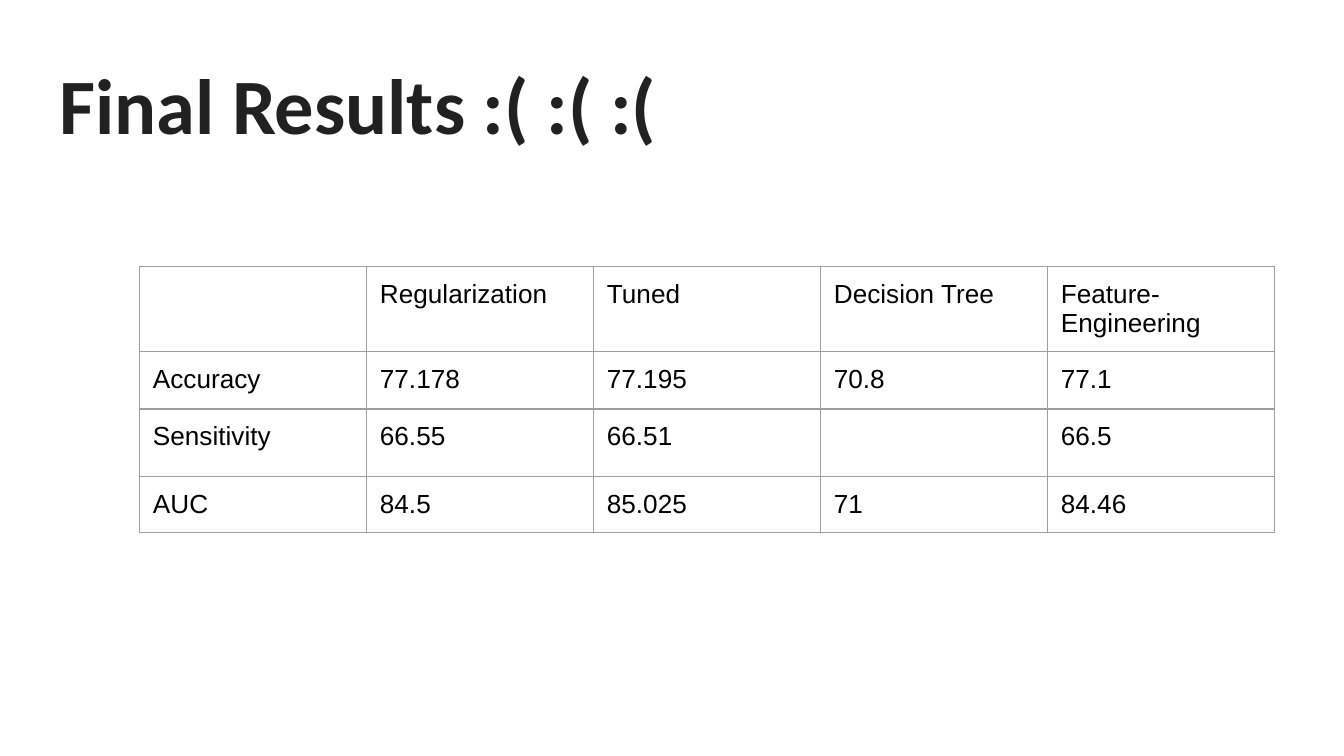
from lxml import etree
from pptx import Presentation
from pptx.dml.color import RGBColor
from pptx.enum.text import MSO_ANCHOR, MSO_AUTO_SIZE, PP_ALIGN
from pptx.oxml.ns import qn
from pptx.util import Cm, Pt

LEFT = PP_ALIGN.LEFT
TOP = MSO_ANCHOR.TOP
NO_AUTOFIT = MSO_AUTO_SIZE.NONE

TITLE_COLOR = RGBColor(0x21, 0x21, 0x21)
TEXT_COLOR = RGBColor(0x00, 0x00, 0x00)
BORDER_COLOR = RGBColor(0x9E, 0x9E, 0x9E)

INSET = Cm(0.25)
COLUMN_WIDTH = Cm(4.29)
ROW_HEIGHTS = [Cm(1.61), Cm(1.09), Cm(1.23), Cm(1.06)]
RESULTS = [
    ["", "Regularization", "Tuned", "Decision Tree", "Feature-Engineering"],
    ["Accuracy", "77.178", "77.195", "70.8", "77.1"],
    ["Sensitivity", "66.55", "66.51", "", "66.5"],
    ["AUC", "84.5", "85.025", "71", "84.46"],
]


def write_text(frame, text, *, font="Arial", size=14, color=TEXT_COLOR, bold=False):
    """Put one left-aligned formatted span into a text frame."""
    para = frame.paragraphs[0]
    para.alignment = LEFT
    span = para.add_run()
    span.text = text
    span.font.name = font
    span.font.size = Pt(size)
    span.font.bold = bold
    span.font.color.rgb = color


def set_insets(target):
    """Give a text frame or a cell the same inset on all sides."""
    target.margin_left = target.margin_right = INSET
    target.margin_top = target.margin_bottom = INSET


def set_borders(cell):
    """Draw a thin line on the four sides of a cell."""
    properties = cell._tc.get_or_add_tcPr()
    for index, side in enumerate(("a:lnL", "a:lnR", "a:lnT", "a:lnB")):
        line = etree.Element(qn(side), w=str(Pt(0.75)))
        fill = etree.SubElement(line, qn("a:solidFill"))
        etree.SubElement(fill, qn("a:srgbClr"), val=str(BORDER_COLOR))
        properties.insert(index, line)


def add_title(page, text):
    """Move and fill the title placeholder."""
    title = page.shapes.title
    title.left, title.top = Cm(0.87), Cm(0.81)
    title.width, title.height = Cm(23.67), Cm(2.24)
    frame = title.text_frame
    frame.word_wrap = True
    frame.auto_size = NO_AUTOFIT
    frame.vertical_anchor = TOP
    set_insets(frame)
    write_text(frame, text, font="Calibri", size=42, color=TITLE_COLOR, bold=True)


def add_results_table(page, rows):
    """Add a plain bordered table with one cell per value."""
    column_count = len(rows[0])
    table = page.shapes.add_table(
        len(rows), column_count, Cm(2.64), Cm(5.03),
        COLUMN_WIDTH * column_count, sum(ROW_HEIGHTS)).table
    table.first_row = False
    table.horz_banding = False
    for column in table.columns:
        column.width = COLUMN_WIDTH
    for row, height, values in zip(table.rows, ROW_HEIGHTS, rows):
        row.height = height
        for cell, value in zip(row.cells, values):
            set_insets(cell)
            cell.vertical_anchor = TOP
            cell.fill.background()
            set_borders(cell)
            if value:
                write_text(cell.text_frame, value)


def main():
    """Build the results slide and save the deck."""
    deck = Presentation()
    deck.slide_width, deck.slide_height = Cm(25.4), Cm(14.29)
    page = deck.slides.add_slide(deck.slide_layouts[5])
    add_title(page, "Final Results :( :( :(")
    add_results_table(page, RESULTS)
    deck.save("out.pptx")


main()
